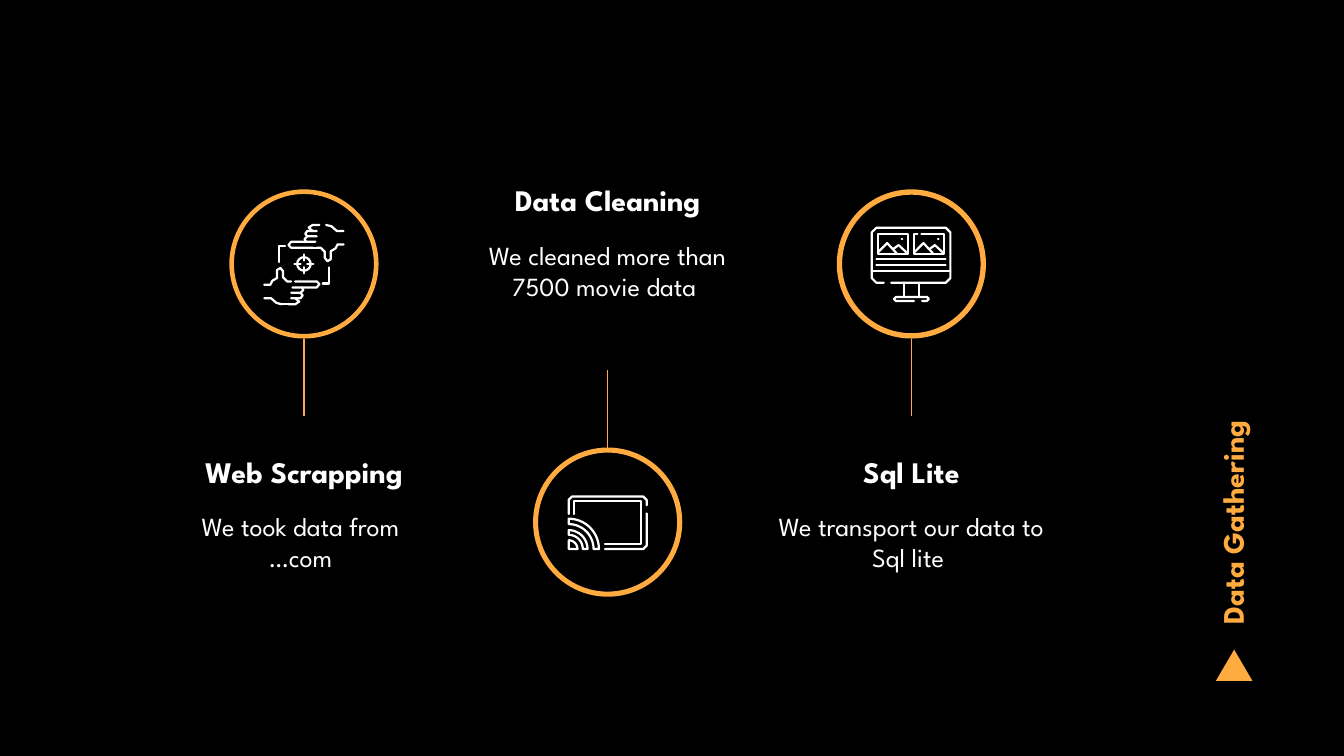
from dataclasses import dataclass
from math import cos, pi, sin

from lxml import etree
from pptx import Presentation
from pptx.dml.color import RGBColor
from pptx.enum import shapes as kinds, text as txt
from pptx.oxml.ns import qn
from pptx.util import Cm, Pt


@dataclass(frozen=True)
class Theme:
    back = RGBColor(0, 0, 0)
    ink = RGBColor(255, 255, 255)
    gold = RGBColor(0xFF, 0xAB, 0x40)
    font = "League Spartan"
    head = 16
    body = 14
    thin = 0.75
    icon = 1.2


T = Theme()
RING = 2.82   # ring diameter, cm
STEM = 1.47   # stem length
COPY = 4.25   # from heading top to stem end
GRID = 111    # icon grid cells across a ring


# Icons: lists of parts, each a list of strokes in grid cells
def arc(x, y, r, start, end, n=16):
    steps = [start + (end - start) * i / n for i in range(n + 1)]
    return [(x + r * cos(a), y - r * sin(a)) for a in steps]


def shift(part, dx):
    return [[(x + dx, y) for x, y in line] for line in part]


def turn(part):
    return [[(111 - x, 112 - y) for x, y in line] for line in part]


def hands():
    fist = [
        [(67, 26.5), (62, 26.5), (59, 28.5), (62, 31), (65, 31)],
        [(62, 31), (58, 31), (56.5, 33), (58, 35), (65, 35)],
        [(58, 35), (56, 37), (57, 39), (64, 39)],
        [(57, 39), (46, 39), (44, 41.5), (46, 43.5), (62, 43.5)],
    ]
    thumb = [[(65, 43.5), (68, 43.5), (71, 46.5), (71, 51), (73, 53.5),
              (75.5, 52), (75.5, 46), (79, 44), (80.5, 41), (85, 41)]]
    wrist = [[(72, 26.5), (76, 27.5), (80, 31), (85, 31)]]
    joint = [[(62, 43.5), (65, 43.5)]]
    cuff = [[(67, 26.5), (72, 26.5)]]
    frame = [[(37, 54), (37, 42), (41.5, 42)]]
    mid = 55.5
    aim = [[(mid + r * cos(k * pi / 2), mid + r * sin(k * pi / 2))
            for r in (2.5, 7)] for k in range(4)]
    aim.append(arc(mid, mid, 5, 0, 2 * pi))
    return [fist + joint + thumb, wrist, turn(thumb),
            turn(fist + cuff + wrist), frame, turn(frame), aim]


def cast():
    x, y = 26.5, 75.5
    lines = [
        [(84.5, 49), (84.5, 73), (82, 75.5), (53.5, 75.5)],
        [(26.5, 49.5), (26.5, 39), (29, 36.5), (82, 36.5), (84.5, 39),
         (84.5, 43)],
        [(30.5, 49.5), (30.5, 40), (80.5, 40), (80.5, 72), (53.5, 72)],
    ]
    for near, far in ((0, 6.5), (10.5, 14), (18.5, 22.5)):
        loop = arc(x, y, near, 0, pi / 2) + arc(x, y, far, pi / 2, 0)
        lines.append(loop + loop[:1])
    return [[line] for line in lines]


def screen():
    photo = [
        [(36, 33), (53, 33), (53, 48), (30.5, 48), (30.5, 33), (33, 33)],
        [(30.5, 47), (37.5, 40), (44.5, 47.5)],
        [(42.5, 44), (46, 41.5), (52.5, 47.5)],
    ]
    dot = [[(48.3, 37), (48.7, 37)]]
    case = [
        [(40.5, 69.5), (81, 69.5), (84.5, 66), (84.5, 32), (81, 28.5),
         (29.5, 28.5), (26, 32), (26, 66), (29.5, 69.5), (35, 69.5)],
        [(26, 61), (84.5, 61)], [(50, 69.5), (50, 80)], [(61, 69.5), (61, 80)],
        [(57.5, 83), (44, 83), (42.5, 81.5), (44, 80), (67, 80),
         (68.5, 81.5), (67, 83), (63.5, 83)],
    ]
    rows = [[[(29.5, y), (81, y)]] for y in (52, 56)]
    return [case, photo + [[(33, 33), (36, 33)]], dot,
            shift(photo, 27), shift(dot, 27)] + rows


# Basic parts, lengths in cm
def label(slide, box, lines, size, tint, bold=False,
          align=txt.PP_ALIGN.CENTER, anchor=txt.MSO_ANCHOR.TOP):
    shape = slide.shapes.add_textbox(*map(Cm, box))
    frame = shape.text_frame
    frame.word_wrap = True
    frame.vertical_anchor = anchor
    frame.margin_left = frame.margin_right = Cm(0.25)
    frame.margin_top = frame.margin_bottom = Cm(0.25)
    frame.text = lines
    for para in frame.paragraphs:
        para.alignment = align
        for run in para.runs:
            run.font.name, run.font.size = T.font, Pt(size)
            run.font.bold, run.font.color.rgb = bold, tint
    return shape


def solid(slide, kind, box):
    shape = slide.shapes.add_shape(kind, *map(Cm, box))
    shape.shadow.inherit = False
    shape.fill.solid()
    shape.fill.fore_color.rgb = T.gold
    shape.line.fill.background()
    return shape


def stem(slide, x, start, end):
    line = slide.shapes.add_connector(
        kinds.MSO_CONNECTOR.STRAIGHT, Cm(x), Cm(start), Cm(x), Cm(end))
    line.line.color.rgb = T.gold
    line.line.width = Pt(T.thin)
    etree.SubElement(line._element.spPr, qn("a:effectLst"))


def glyph(slide, left, top, parts):
    cell = RING / GRID
    group = slide.shapes.add_group_shape()
    for part in parts:
        spots = [[(Cm(left + x * cell), Cm(top + y * cell)) for x, y in line]
                 for line in part]
        pen = group.shapes.build_freeform(*spots[0][0])
        for line in spots:
            pen.move_to(*line[0])
            pen.add_line_segments(line[1:], close=False)
        shape = pen.convert_to_shape()
        shape.shadow.inherit = False
        shape.fill.background()
        shape.line.color.rgb = T.ink
        shape.line.width = Pt(T.icon)
        shape._element.spPr.find(qn("a:ln")).set("cap", "rnd")


# One step: ring with icon, stem, heading and body
def step(slide, box, head, body, icon, rim, flip):
    left, top, wide = box
    mid = left + wide / 2
    ring = top + COPY + STEM if flip else top
    copy = top if flip else top + RING + STEM
    label(slide, (left, copy, wide, 1.63), head, T.head, T.ink, True,
          anchor=txt.MSO_ANCHOR.BOTTOM)
    label(slide, (left, copy + 1.53, wide, 2.69), body, T.body, T.ink)
    donut = solid(slide, kinds.MSO_SHAPE.DONUT,
                  (mid - RING / 2, ring, RING, RING))
    donut.adjustments[0] = rim
    start = ring if flip else ring + RING
    stem(slide, mid, start, start - STEM if flip else start + STEM)
    glyph(slide, mid - RING / 2, ring, icon())


# Vertical slide title above its marker
def side(slide, box):
    left, top, wide, high = box
    mid = left + wide / 2
    solid(slide, kinds.MSO_SHAPE.ISOSCELES_TRIANGLE,
          (mid - 0.09, top + high + 0.23, 0.69, 0.59))
    name = label(slide, (mid - high / 2, top + (high - wide) / 2, high, wide),
                 "Data Gathering", T.head, T.gold, True,
                 txt.PP_ALIGN.LEFT, txt.MSO_ANCHOR.BOTTOM)
    name.rotation = 270


STEPS = [
    ("Web Scrapping", "We took data from \n…com ", hands, 0.031),
    ("Data Cleaning", "We cleaned more than 7500 movie data ", cast, 0.034),
    ("Sql Lite", "We transport our data to Sql lite ", screen, 0.036),
]


def main():
    deck = Presentation()
    deck.slide_width, deck.slide_height = Cm(25.4), Cm(14.29)
    slide = deck.slides.add_slide(deck.slide_layouts[6])
    slide.background.fill.solid()
    slide.background.fill.fore_color.rgb = T.back
    side(slide, (22.27, 1.38, 1.6, 10.67))
    for i, (head, body, icon, rim) in enumerate(STEPS):
        flip = i % 2 == 1
        box = (2.67 + 5.74 * i, 2.74 if flip else 3.58, 6.15)
        step(slide, box, head, body, icon, rim, flip)
    deck.save("out.pptx")


if __name__ == "__main__":
    main()
